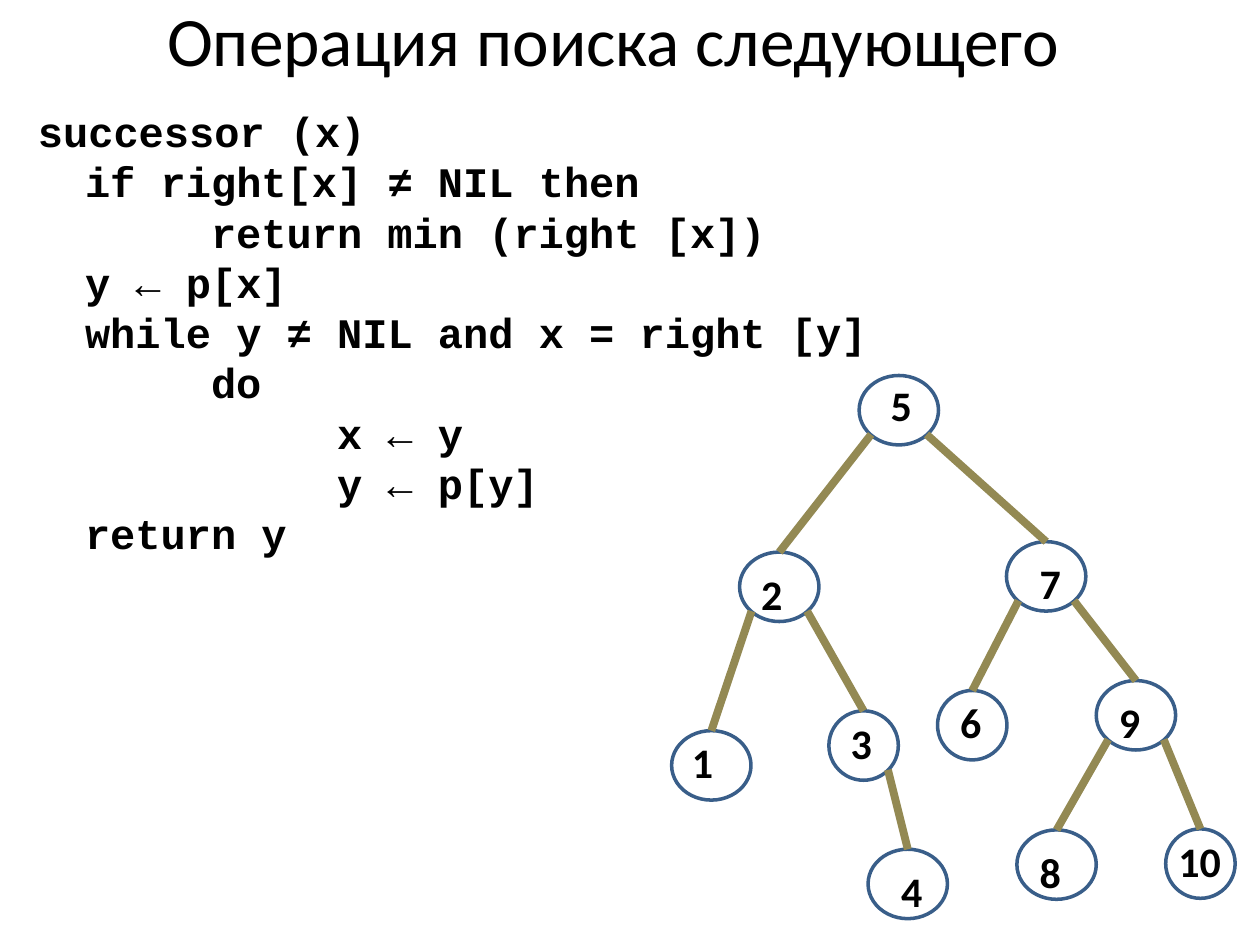
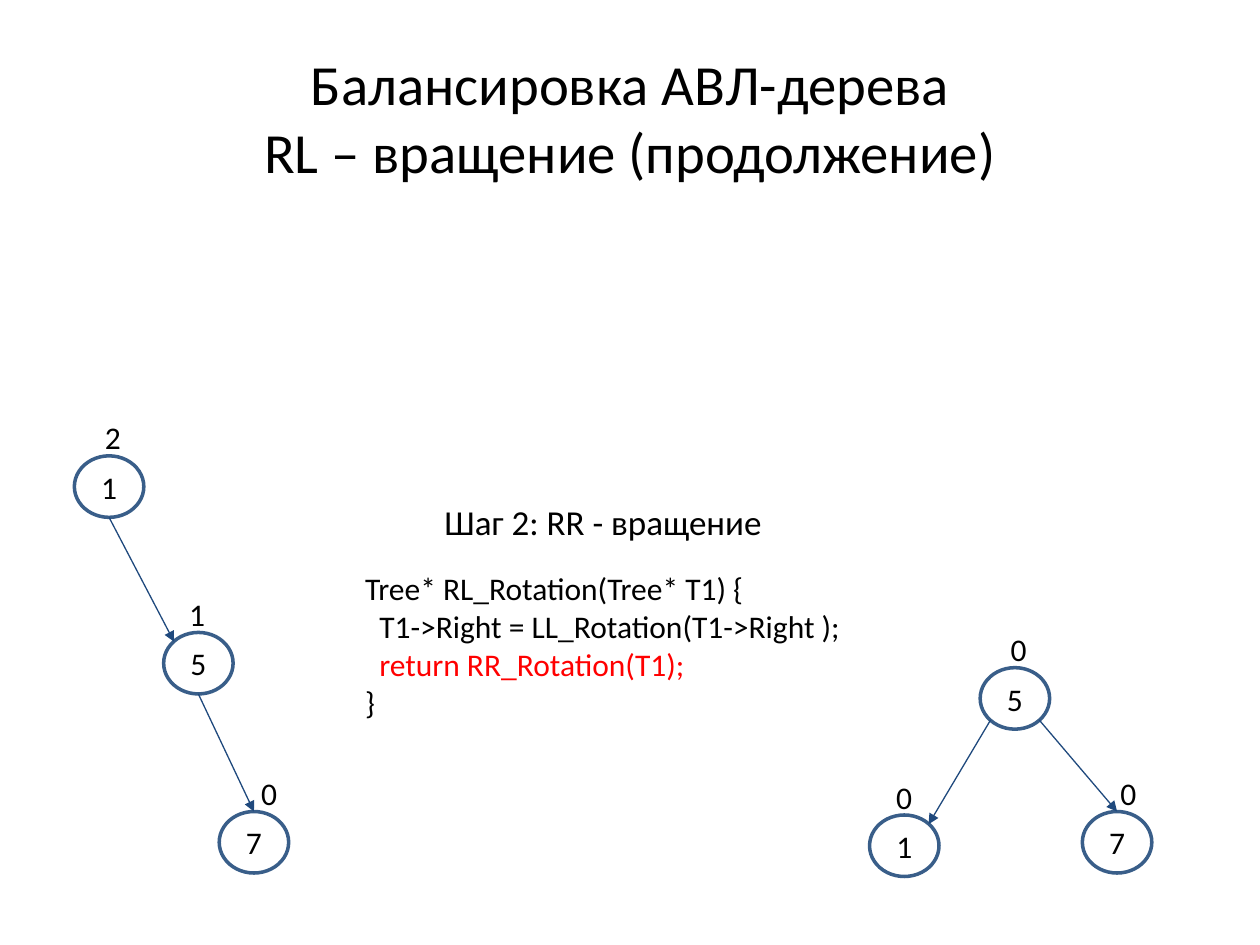
from dataclasses import dataclass

from lxml.etree import SubElement
from pptx import Presentation
from pptx.dml.color import RGBColor
from pptx.enum.shapes import MSO_CONNECTOR, MSO_SHAPE
from pptx.enum.text import MSO_ANCHOR, MSO_AUTO_SIZE, PP_ALIGN
from pptx.oxml.ns import qn
from pptx.util import Cm, Pt


@dataclass(frozen=True)
class Theme:
    """Colours, fonts and type sizes of the deck."""
    ink: RGBColor = RGBColor(0, 0, 0)
    accent: RGBColor = RGBColor(0xFF, 0, 0)
    outline: RGBColor = RGBColor(0x39, 0x5E, 0x89)
    branch: RGBColor = RGBColor(0x93, 0x89, 0x53)
    arrow: RGBColor = RGBColor(0x1F, 0x49, 0x7D)
    sans: str = "Calibri"
    mono: str = "Courier New"
    key: int = 24
    step: int = 20
    text: int = 18


T = Theme()
SIDES = {
    "top": (0.5, 0), "bottom": (0.5, 1), "top left": (0.15, 0.15),
    "top right": (0.85, 0.15), "bottom left": (0.15, 0.85), "bottom right": (0.85, 0.85),
}

SUCCESSOR = [
    (0, "successor (x)"),
    (1, "if right[x] ≠ NIL then"),
    (2, "return min (right [x])"),
    (1, "y ← p[x]"),
    (1, "while y ≠ NIL and x = right [y]"),
    (2, "do"),
    (3, "x ← y"),
    (3, "y ← p[y]"),
    (1, "return y"),
]
ROTATION = [
    [("Tree* RL_Rotation(Tree* T1) {", T.ink)],
    [("  T1->Right = LL_Rotation(T1->Right );", T.ink)],
    [("  ", T.ink), ("return RR_Rotation(T1);", T.accent)],
    [("}", T.ink)],
]

# key: left, top, width, label dx, label dy
SEARCH_NODES = {
    "5": (17.32, 7.57, 1.6, 0.38, -0.05),
    "7": (20.29, 10.92, 1.6, 0.41, 0.2),
    "1": (13.54, 14.73, 1.6, 0.15, 0),
    "3": (16.71, 14.33, 1.4, 0.18, 0),
    "6": (18.9, 13.92, 1.4, 0.2, 0),
    "10": (23.5, 16.71, 1.4, 0, 0),
    "4": (17.5, 17.12, 1.6, 0.41, 0.2),
    "2": (14.91, 11.13, 1.6, 0.18, 0.2),
    "8": (20.5, 16.73, 1.6, 0.2, 0.2),
    "9": (22.1, 13.72, 1.6, 0.2, 0.2),
}
SEARCH_CHILDREN = {
    "5": ("2", "7"), "2": ("1", "3"), "7": ("6", "9"), "3": (None, "4"), "9": ("8", "10"),
}

# key: left, top, balance factor, balance dx
BEFORE_NODES = {
    "1": (1.5, 9.19, "2", 0.05),
    "5": (3.3, 12.75, "1", -0.05),
    "7": (4.42, 16.36, "0", 0.28),
}
BEFORE_ARROWS = [("1", "bottom", "5", "top left"), ("5", "bottom", "7", "top")]
AFTER_NODES = {
    "7": (21.82, 16.36, "0", 0.2),
    "5": (19.76, 13.46, "0", 0.05),
    "1": (17.53, 16.43, "0", -0.03),
}
AFTER_ARROWS = [("5", "bottom right", "7", "top"), ("5", "bottom left", "1", "top right")]


def set_all(obj, values):
    """Set each attribute of obj from a dict."""
    for name, value in values.items():
        setattr(obj, name, value)


def place(sp, left, top, width, height):
    """Move and size a shape in centimetres."""
    set_all(sp, {"left": Cm(left), "top": Cm(top), "width": Cm(width), "height": Cm(height)})


def style(font, size, color=T.ink, name=T.sans, bold=False):
    """Format a font."""
    set_all(font, {"size": Pt(size), "name": name, "bold": bold})
    font.color.rgb = color


def add_title(s, text, size, box):
    """Fill and place the title placeholder."""
    sp = s.shapes.title
    place(sp, *box)
    tf = sp.text_frame
    tf.text = text
    set_all(tf, {"auto_size": MSO_AUTO_SIZE.NONE, "vertical_anchor": MSO_ANCHOR.MIDDLE})
    p = tf.paragraphs[0]
    p.alignment = PP_ALIGN.CENTER
    for r in p.runs:
        style(r.font, size)


def add_code_body(s, lines, box):
    """Fill the body placeholder with code indented by depth."""
    sp = s.placeholders[1]
    place(sp, *box)
    tf = sp.text_frame
    tf.auto_size = MSO_AUTO_SIZE.NONE
    for i, (depth, text) in enumerate(lines):
        p = tf.paragraphs[0] if i == 0 else tf.add_paragraph()
        margin = Cm(0.95 + 2.54 * (depth - 1)) if depth else 0
        pPr = p._p.get_or_add_pPr()
        pPr.set("marL", str(margin))
        pPr.set("indent", "0")
        SubElement(pPr, qn("a:buNone"))
        set_all(p, {"line_spacing": Pt(28.75), "space_before": Pt(0)})
        r = p.add_run()
        r.text = text
        style(r.font, T.key, name=T.mono, bold=True)


def add_text(shapes, lines, box, size, bold=False, align=PP_ALIGN.LEFT, wrap=True):
    """Add a text box from lines of coloured runs."""
    tf = shapes.add_textbox(*map(Cm, box)).text_frame
    tf.word_wrap = wrap
    for i, runs in enumerate(lines):
        p = tf.paragraphs[0] if i == 0 else tf.add_paragraph()
        p.alignment = align
        for text, color in runs:
            r = p.add_run()
            r.text = text
            style(r.font, size, color, bold=bold)


def add_label(shapes, text, box, size, bold=False):
    """Add a short centred label."""
    add_text(shapes, [[(text, T.ink)]], box, size, bold, PP_ALIGN.CENTER, wrap=False)


def add_node(shapes, left, top, width, height, key=""):
    """Add an outlined tree node, with its key if given."""
    sp = shapes.add_shape(MSO_SHAPE.OVAL, Cm(left), Cm(top), Cm(width), Cm(height))
    sp.shadow.inherit = False
    sp.fill.background()
    sp.line.color.rgb = T.outline
    sp.line.width = Pt(2)
    if key:
        tf = sp.text_frame
        set_all(tf, {"word_wrap": False, "vertical_anchor": MSO_ANCHOR.MIDDLE})
        p = tf.paragraphs[0]
        p.alignment = PP_ALIGN.CENTER
        r = p.add_run()
        r.text = key
        style(r.font, T.text)
    return sp


def rim(sp, side):
    """Return the point of a node's rim on the named side."""
    fx, fy = SIDES[side]
    return int(sp.left + fx * sp.width), int(sp.top + fy * sp.height)


def add_edge(shapes, parent, start, child, end, color, width, arrow=False):
    """Join two nodes with a straight connector."""
    cx = shapes.add_connector(MSO_CONNECTOR.STRAIGHT, *rim(parent, start), *rim(child, end))
    if end == "top":
        cx.end_connect(child, 0)
    cx.line.color.rgb = color
    cx.line.width = Pt(width)
    if arrow:
        SubElement(cx.line._get_or_add_ln(), qn("a:tailEnd"), type="triangle")
    SubElement(cx._element.spPr, qn("a:effectLst"))


def add_search_tree(s):
    """Draw the binary search tree with its keys."""
    nodes = {key: add_node(s.shapes, left, top, width, 1.4)
             for key, (left, top, width, _, _) in SEARCH_NODES.items()}
    for parent, children in SEARCH_CHILDREN.items():
        for side, child in zip(("bottom left", "bottom right"), children):
            if child:
                add_edge(s.shapes, nodes[parent], side, nodes[child], "top", T.branch, 4.5)
    for key, (left, top, _, dx, dy) in SEARCH_NODES.items():
        width = 0.94 if len(key) == 1 else 1.37
        add_label(s.shapes, key, (left + dx, top + dy, width, 1.27), T.key, bold=True)


def add_balance_tree(s, nodes, arrows):
    """Draw a grouped tree with balance factors above the nodes."""
    shapes = s.shapes.add_group_shape().shapes
    ovals = {key: add_node(shapes, left, top, 1.4, 1.24, key)
             for key, (left, top, _, _) in nodes.items()}
    for parent, start, child, end in arrows:
        add_edge(shapes, ovals[parent], start, ovals[child], end, T.arrow, 0.75, arrow=True)
    for left, top, balance, dx in nodes.values():
        add_label(shapes, balance, (left + dx, top - 0.88, 1.45, 1.02), T.text)


def main():
    """Build both slides and save the deck."""
    prs = Presentation()
    prs.slide_width, prs.slide_height = Cm(25.4), Cm(19.05)

    s = prs.slides.add_slide(prs.slide_layouts[1])
    add_title(s, "Операция поиска следующего ", 39.6, (1.09, 0, 22.86, 1.55))
    add_code_body(s, SUCCESSOR, (0.51, 2, 17.32, 9.6))
    add_search_tree(s)

    s = prs.slides.add_slide(prs.slide_layouts[5])
    add_title(s, "Балансировка АВЛ-дерева\vRL – вращение (продолжение)", 32.4,
              (1.27, 0.76, 22.86, 3.18))
    add_text(s.shapes, [[("Шаг 2: RR - вращение", T.ink)]], (8.71, 9.96, 8, 1.11), T.step)
    add_text(s.shapes, ROTATION, (7.11, 11.35, 10.44, 4.88), T.text)
    add_balance_tree(s, AFTER_NODES, AFTER_ARROWS)
    add_balance_tree(s, BEFORE_NODES, BEFORE_ARROWS)

    prs.save("out.pptx")


if __name__ == "__main__":
    main()
